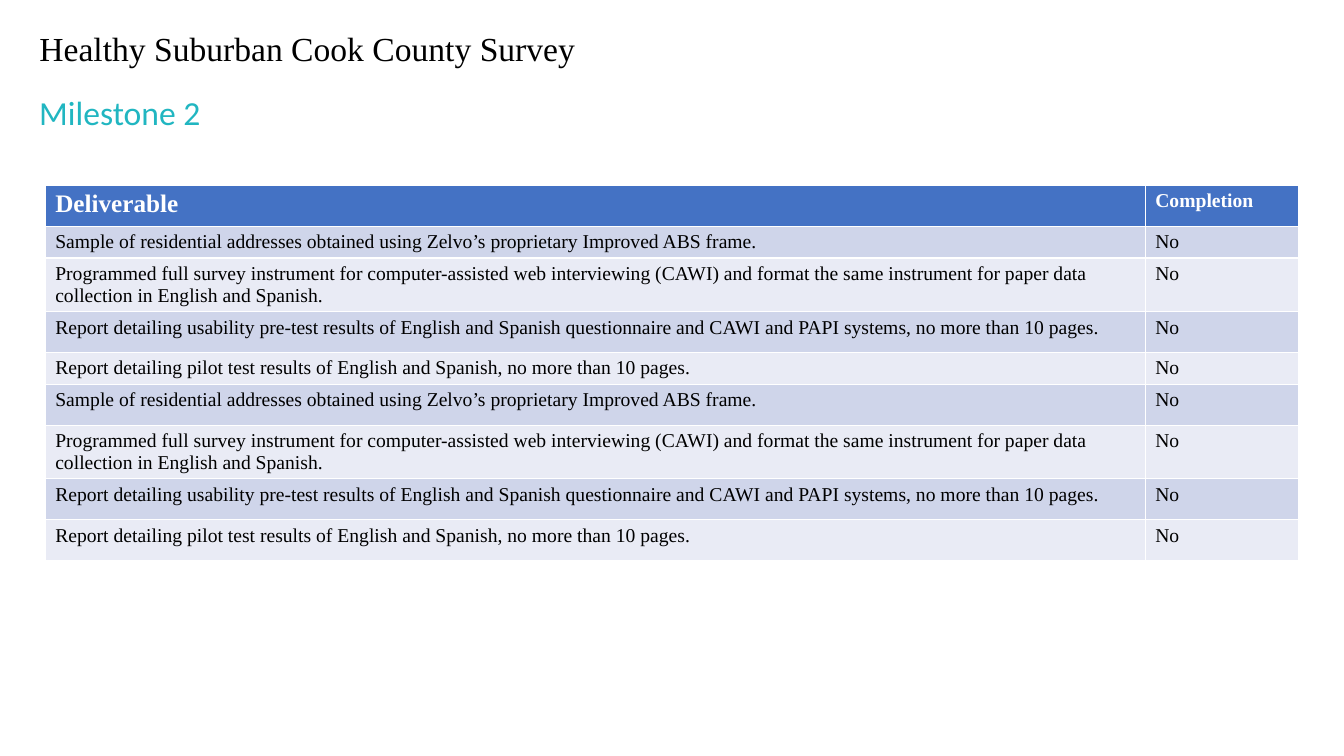
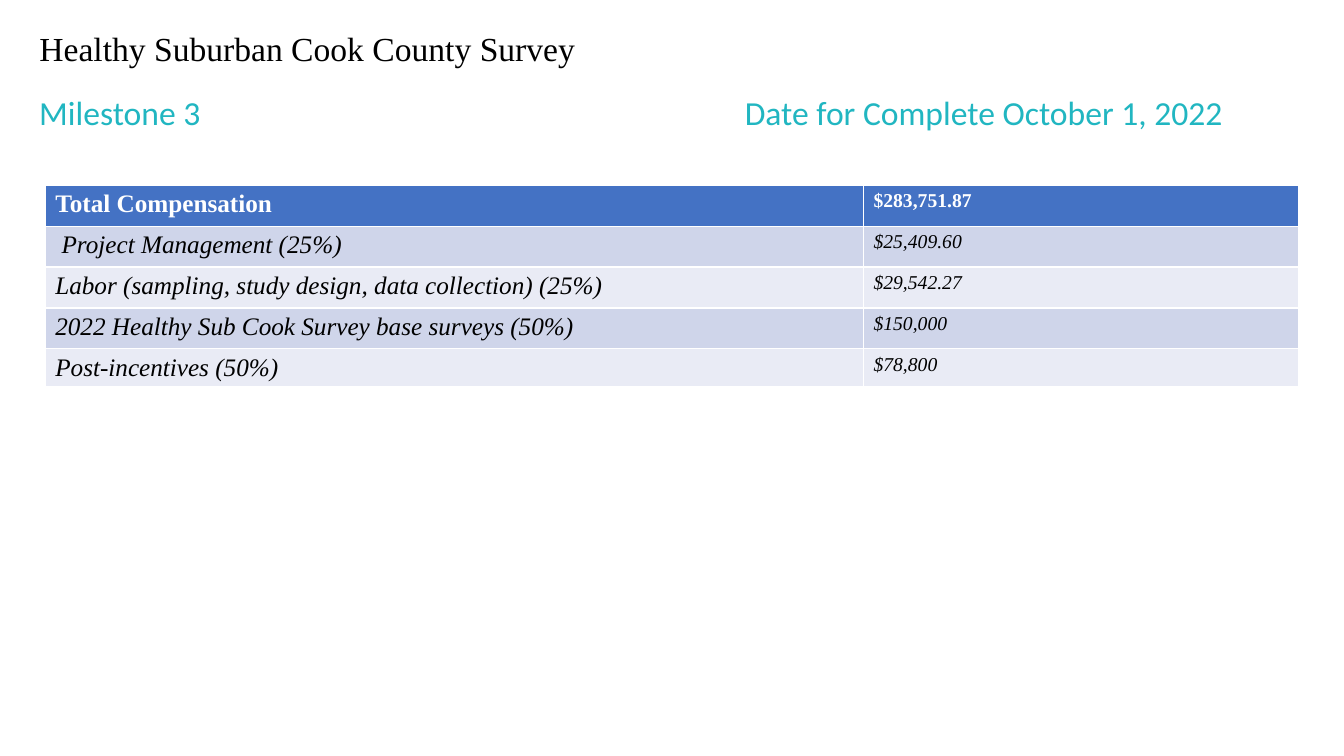
"""Build the milestone slides of the Healthy Suburban Cook County Survey."""
import pptx
import pptx.dml.color
import pptx.enum.text
import pptx.oxml.ns
import pptx.util
from lxml import etree

Cm = pptx.util.Cm
Pt = pptx.util.Pt

COLORS = {
    "title": "000000",
    "milestone": "21B6C1",
    "header": "4472C4",
    "header_text": "FFFFFF",
    "body_text": "000000",
    "band_dark": "CFD5EA",
    "band_light": "E9EBF5",
}
SERIF = "Times New Roman"
TITLE_FONT = {"name": SERIF, "size": Pt(24), "bold": False}
MILESTONE_FONT = {"name": "Calibri", "size": Pt(24), "bold": False}
TITLE = "Healthy Suburban Cook County Survey"
TITLE_ONLY = 5
LEFT = Cm(0.74)
LINE_HEIGHT = Cm(1.17)
DATE_TAB = Cm(17.78)
TABLE_LEFT, TABLE_TOP = Cm(1.14), Cm(4.67)

DELIVERABLES = [
    ("Sample of residential addresses obtained using Zelvo’s proprietary "
     "Improved ABS frame."),
    ("Programmed full survey instrument for computer-assisted web interviewing "
     "(CAWI) and format the same instrument for paper data collection in "
     "English and Spanish."),
    ("Report detailing usability pre-test results of English and Spanish "
     "questionnaire and CAWI and PAPI systems, no more than 10 pages."),
    "Report detailing pilot test results of English and Spanish, no more than 10 pages.",
]
DELIVERABLE_ROWS = [("Deliverable", "Completion")]
DELIVERABLE_ROWS += [(deliverable, "No") for deliverable in DELIVERABLES * 2]
COMPENSATION_ROWS = [
    ("Total Compensation", "$283,751.87"),
    (" Project Management (25%)", "$25,409.60"),
    ("Labor (sampling, study design, data collection) (25%)", "$29,542.27"),
    ("2022 Healthy Sub Cook Survey base surveys (50%)", "$150,000"),
    ("Post-incentives (50%)", "$78,800"),
]


def set_attributes(target, values):
    """Set each named attribute of the target."""
    for name, value in values.items():
        setattr(target, name, value)


def rgb(name):
    """Return the named colour."""
    return pptx.dml.color.RGBColor.from_string(COLORS[name])


def write_text(text_frame, text, font, color):
    """Write one left-aligned paragraph and return it."""
    paragraph = text_frame.paragraphs[0]
    paragraph.alignment = pptx.enum.text.PP_ALIGN.LEFT
    run = paragraph.add_run()
    run.text = text
    set_attributes(run.font, font)
    run.font.color.rgb = rgb(color)
    return paragraph


def write_heading(shape, text, font, color, anchor):
    """Format a one-line heading and return its paragraph."""
    set_attributes(shape.text_frame, {
        "word_wrap": True,
        "auto_size": pptx.enum.text.MSO_AUTO_SIZE.NONE,
        "vertical_anchor": anchor,
    })
    paragraph = write_text(shape.text_frame, text, font, color)
    paragraph.line_spacing = 0.9
    return paragraph


def add_title(slide):
    """Place and fill the title placeholder."""
    shape = slide.shapes.title
    set_attributes(shape, {"left": LEFT, "top": Cm(0.69),
                           "width": Cm(14.15), "height": LINE_HEIGHT})
    write_heading(shape, TITLE, TITLE_FONT, "title",
                  pptx.enum.text.MSO_ANCHOR.MIDDLE)


def add_milestone(slide, text, width):
    """Add the milestone line, with a tab stop for its date."""
    shape = slide.shapes.add_textbox(LEFT, Cm(2.31), width, LINE_HEIGHT)
    paragraph = write_heading(shape, text, MILESTONE_FONT, "milestone",
                              pptx.enum.text.MSO_ANCHOR.TOP)
    if "\t" in text:
        qn = pptx.oxml.ns.qn
        properties = paragraph._p.get_or_add_pPr()
        tabs = etree.SubElement(properties, qn("a:tabLst"))
        etree.SubElement(tabs, qn("a:tab"), pos=str(int(DATE_TAB)), algn="l")


def add_table(slide, rows, widths, heights, body_label_size, italic):
    """Add a two-column table with a header and banded rows."""
    table = slide.shapes.add_table(
        len(rows), len(widths), TABLE_LEFT, TABLE_TOP,
        sum(widths), sum(heights)).table
    for column, width in zip(table.columns, widths):
        column.width = width
    for index, (texts, height) in enumerate(zip(rows, heights)):
        table.rows[index].height = height
        is_header = index == 0
        band = "band_dark" if index % 2 else "band_light"
        label_size = Pt(18) if is_header else body_label_size
        for cell, text, size in zip(table.rows[index].cells, texts,
                                    (label_size, Pt(14))):
            cell.fill.solid()
            cell.fill.fore_color.rgb = rgb("header" if is_header else band)
            font = {"name": SERIF, "size": size, "bold": is_header,
                    "italic": italic and not is_header}
            write_text(cell.text_frame, text, font,
                       "header_text" if is_header else "body_text")


def add_slide(presentation, milestone, milestone_width, **table_format):
    """Add a slide with title, table and milestone line."""
    slide = presentation.slides.add_slide(presentation.slide_layouts[TITLE_ONLY])
    add_title(slide)
    add_table(slide, **table_format)
    add_milestone(slide, milestone, milestone_width)


def main():
    """Build and save the presentation."""
    presentation = pptx.Presentation()
    set_attributes(presentation, {"slide_width": Cm(33.87),
                                  "slide_height": Cm(19.05)})
    tall, short, double = Cm(1.03), Cm(0.79), Cm(1.35)
    add_slide(presentation, "Milestone 2", Cm(4.7),
              rows=DELIVERABLE_ROWS, widths=(Cm(27.72), Cm(3.86)),
              heights=(tall, short, double, tall, short,
                       tall, double, tall, tall),
              body_label_size=Pt(14), italic=False)
    add_slide(presentation, "Milestone 3\tDate for Complete October 1, 2022",
              Cm(31.04),
              rows=COMPENSATION_ROWS, widths=(Cm(20.62), Cm(10.96)),
              heights=(tall, tall, tall, tall, Cm(0.96)),
              body_label_size=Pt(18), italic=True)
    presentation.save("out.pptx")


if __name__ == "__main__":
    main()
